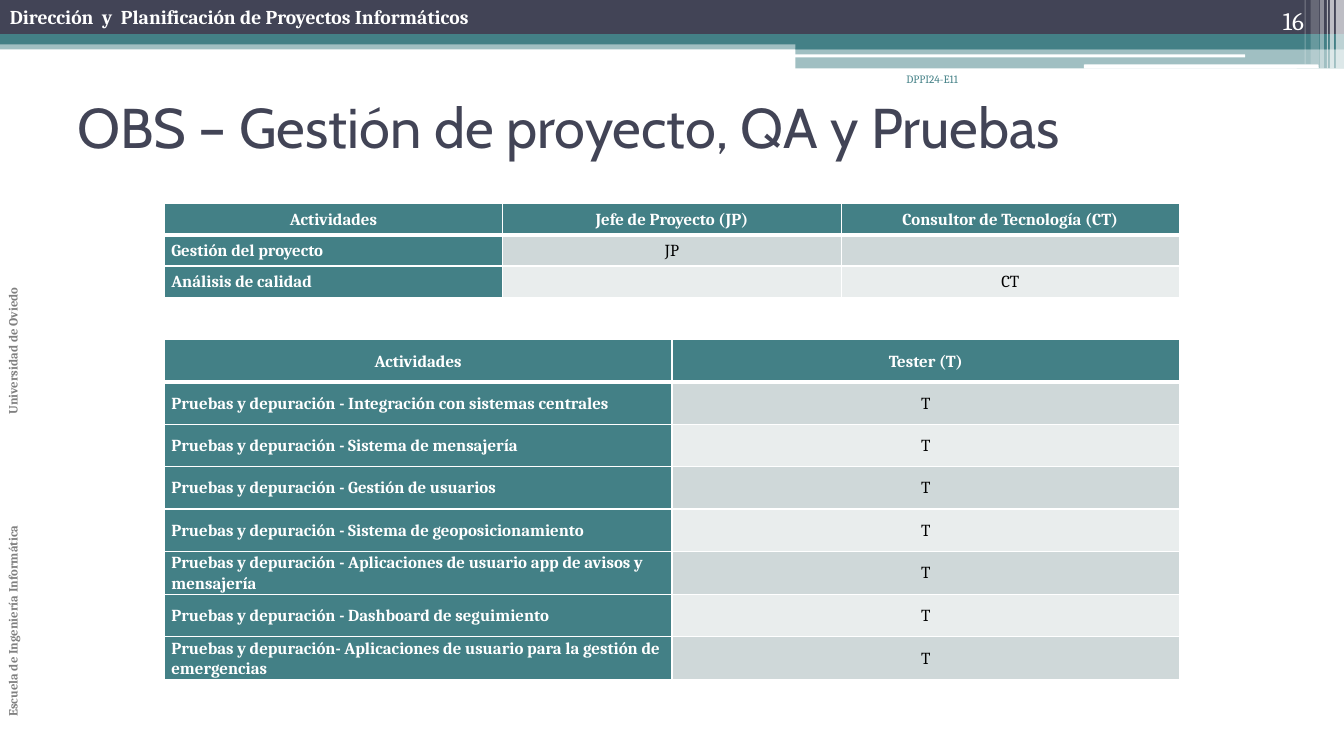
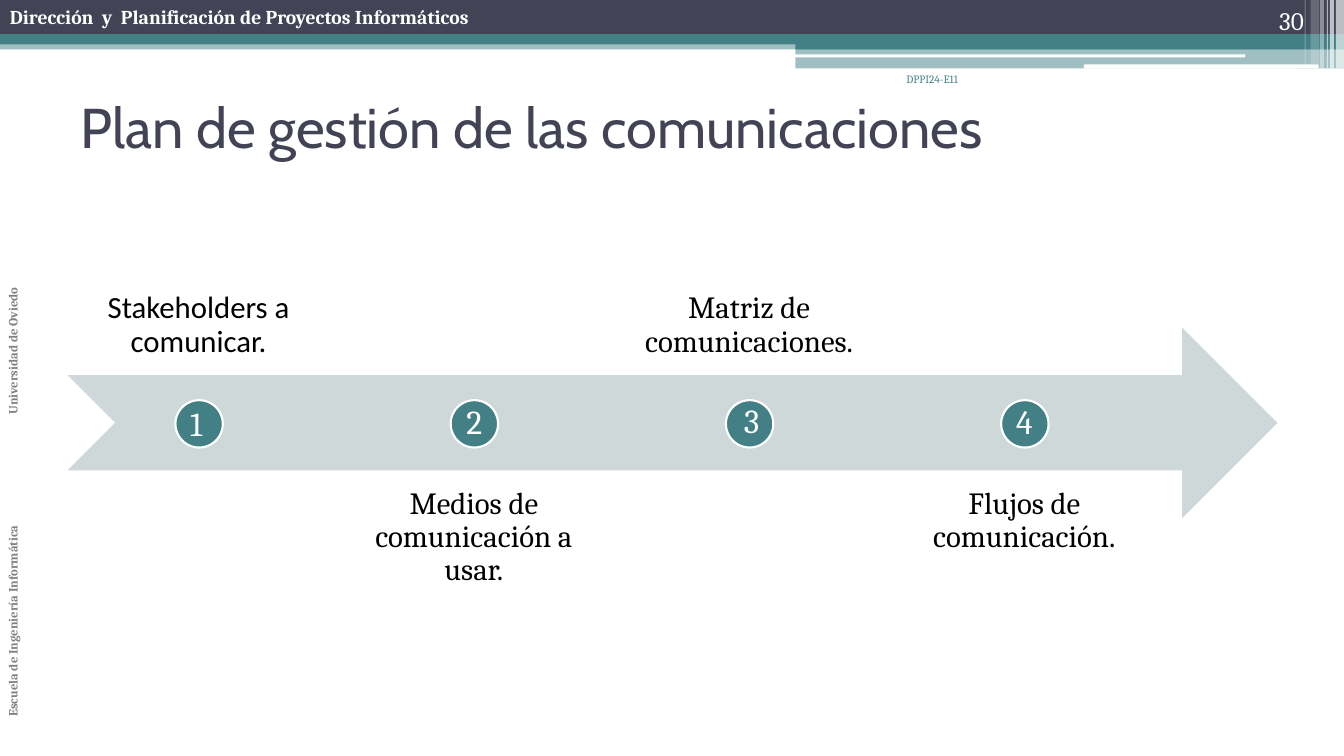
from pptx import Presentation
from pptx.dml.color import RGBColor
from pptx.enum.shapes import MSO_SHAPE as SHAPE
from pptx.enum.text import MSO_ANCHOR as ANCHOR, PP_ALIGN as ALIGN
from pptx.oxml.ns import qn
from pptx.util import Inches, Pt
from lxml.etree import SubElement

NAVY = RGBColor(0x42, 0x44, 0x56)
TEAL = RGBColor(0x43, 0x80, 0x86)
GREY = RGBColor(0x80, 0x80, 0x80)
BAND_DARK = RGBColor(0xCF, 0xD8, 0xD9)
BAND_LIGHT = RGBColor(0xE9, 0xED, 0xED)
WHITE = RGBColor(0xFF, 0xFF, 0xFF)
BLACK = RGBColor(0x00, 0x00, 0x00)


def add_text(s, at, text, size, color, name="Cambria", bold=False,
             align=ALIGN.LEFT, anchor=ANCHOR.TOP, **frame):
    sp = s.shapes.add_textbox(*map(Inches, at))
    tf = sp.text_frame
    for key, value in {"word_wrap": True, "vertical_anchor": anchor, **frame}.items():
        setattr(tf, key, value)
    p = tf.paragraphs[0]
    p.alignment = align
    r = p.add_run()
    r.text = text
    for key, value in {"size": Pt(size), "name": name, "bold": bold}.items():
        setattr(r.font, key, value)
    r.font.color.rgb = color
    return sp


def add_block(s, kind, at, color, alpha=100):
    sp = s.shapes.add_shape(kind, *map(Inches, at))
    sp.shadow.inherit = False
    sp.fill.solid()
    sp.fill.fore_color.rgb = color
    sp.line.fill.background()
    if alpha < 100:
        clr = sp.element.spPr.find(".//" + qn("a:srgbClr"))
        SubElement(clr, qn("a:alpha"), val=str(alpha * 1000))
    return sp


prs = Presentation()
prs.slide_width, prs.slide_height = Inches(13.33), Inches(7.5)
layout = prs.slide_layouts[6]
for ph in list(layout.placeholders):
    ph.element.getparent().remove(ph.element)

s = prs.slides.add_slide(layout)
bands = [
    (SHAPE.RECTANGLE, (0, 0.4, 13.33, 0.09), TEAL, 50),
    (SHAPE.RECTANGLE, (0, 0, 13.33, 0.34), NAVY, 100),
    (SHAPE.RECTANGLE, (0, 0.34, 13.33, 0.1), TEAL, 100),
    (SHAPE.RECTANGLE, (7.89, 0.39, 5.44, 0.1), TEAL, 100),
    (SHAPE.RECTANGLE, (7.89, 0.48, 5.44, 0.2), TEAL, 50),
    (SHAPE.ROUNDED_RECTANGLE, (7.88, 0.54, 4.47, 0.03), WHITE, 100),
    (SHAPE.ROUNDED_RECTANGLE, (10.75, 0.64, 2.33, 0.04), WHITE, 100),
]
stripes = [(13.25, 0.08, 0.68, 65), (13.19, 0.04, 0.68, 65), (13.16, 0.01, 0.68, 60),
           (13.09, 0.04, 0.68, 40), (13, 0.08, 0.64, 20), (12.94, 0.01, 0.64, 30)]
bands += [(SHAPE.RECTANGLE, (x, 0, w, h), WHITE, alpha) for x, w, h, alpha in stripes]
for band in bands:
    add_block(s, *band)
add_text(s, (0, 0, 8.24, 0.34), "Dirección  y  Planificación de Proyectos Informáticos",
         14, WHITE, bold=True)
side = add_text(s, (0, 0.54, 0.35, 6.67),
                "Escuela de Ingeniería Informática\t\t\tUniversidad de Oviedo", 9, GREY, bold=True)
side.text_frame._txBody.bodyPr.set("vert", "vert270")
for sp in list(s.shapes):
    layout.shapes.element.append(sp.element)

slides = [s, prs.slides.add_slide(layout)]
headings = [("16", 0.67, "OBS – Gestión de proyecto, QA y Pruebas"),
            ("30", 0.7, "Plan de gestión de las comunicaciones")]
for s, (number, left, title) in zip(slides, headings):
    add_text(s, (7.67, 0.67, 1.93, 0.5), "DPPI24-E11", 8, TEAL, align=ALIGN.RIGHT)
    add_text(s, (11.92, 0, 1.11, 0.4), number, 18, WHITE, align=ALIGN.RIGHT, anchor=ANCHOR.BOTTOM)
    add_text(s, (left, 0.67, 12, 1.17), title, 40, NAVY, "Cabin", anchor=ANCHOR.MIDDLE)

tests = [
    "Pruebas y depuración - Integración con sistemas centrales",
    "Pruebas y depuración - Sistema de mensajería",
    "Pruebas y depuración - Gestión de usuarios",
    "Pruebas y depuración - Sistema de geoposicionamiento",
    "Pruebas y depuración - Aplicaciones de usuario app de avisos y mensajería",
    "Pruebas y depuración - Dashboard de seguimiento",
    "Pruebas y depuración- Aplicaciones de usuario para la gestión de emergencias",
]
tables = [
    (2.02, 0.31, [("Actividades", "Jefe de Proyecto (JP)", "Consultor de Tecnología (CT)"),
                  ("Gestión del proyecto", "JP", ""),
                  ("Análisis de calidad", "", "CT")]),
    (3.37, 0.42, [("Actividades", "Tester (T)")] + [(test, "T") for test in tests]),
]
cell_format = {"margin_left": Inches(0.07), "margin_right": Inches(0.07), "margin_top": 0,
               "margin_bottom": 0, "vertical_anchor": ANCHOR.MIDDLE}
for top, row_height, rows in tables:
    table = slides[0].shapes.add_table(
        len(rows), len(rows[0]), Inches(1.63), Inches(top),
        Inches(10.07), Inches(row_height * len(rows))).table
    for i, row in enumerate(rows):
        for j, text in enumerate(row):
            cell = table.cell(i, j)
            for key, value in cell_format.items():
                setattr(cell, key, value)
            tcPr = cell._tc.get_or_add_tcPr()
            for edge in ("lnL", "lnR", "lnT", "lnB"):
                thick = (i, edge) in ((0, "lnB"), (1, "lnT"))
                ln = SubElement(tcPr, qn("a:" + edge), w=str(Pt(3 if thick else 1)))
                fill = SubElement(ln, qn("a:solidFill"))
                SubElement(fill, qn("a:srgbClr"), val=str(WHITE))
            head = i == 0 or j == 0
            cell.fill.solid()
            cell.fill.fore_color.rgb = TEAL if head else BAND_DARK if i % 2 else BAND_LIGHT
            p = cell.text_frame.paragraphs[0]
            if not text:
                SubElement(p._p, qn("a:endParaRPr"), sz="1200")
                continue
            p.alignment = ALIGN.LEFT if i and j == 0 else ALIGN.CENTER
            p.line_spacing, p.space_after = 1.07, Pt(8)
            r = p.add_run()
            r.text = text
            for key, value in {"size": Pt(12), "name": "Cambria", "bold": head}.items():
                setattr(r.font, key, value)
            r.font.color.rgb = WHITE if head else BLACK

s = slides[1]
add_block(s, SHAPE.NOTCHED_RIGHT_ARROW, (0.67, 3.25, 12, 1.89), BAND_DARK)
steps = [
    ("Stakeholders a comunicar.", "Calibri", (1.72, 3.95, 0.45, 0.5)),
    ("Medios de comunicación a usar.", "Cambria", (4.48, 3.93, 0.45, 0.5)),
    ("Matriz de comunicaciones.", "Cambria", (7.23, 3.92, 0.45, 0.5)),
    ("Flujos de comunicación.", "Cambria", (9.9, 3.93, 0.52, 0.5)),
]
margins = {"margin_" + side: Inches(0.17) for side in ("left", "top", "right", "bottom")}
for i, (label, font, number_at) in enumerate(steps):
    x = 2.73 * i
    top, anchor = (4.67, ANCHOR.TOP) if i % 2 else (1.84, ANCHOR.BOTTOM)
    sp = add_text(s, (0.67 + x, top, 2.6, 1.89), label, 22, BLACK, font,
                  align=ALIGN.CENTER, anchor=anchor, **margins)
    sp.text_frame.paragraphs[0].line_spacing = 0.9
    dot = add_block(s, SHAPE.OVAL, (1.74 + x, 3.97, 0.47, 0.47), TEAL)
    dot.line.color.rgb = WHITE
    dot.line.width = Pt(1.5)
    add_text(s, number_at, str(i + 1), 24, WHITE, align=ALIGN.CENTER, anchor=ANCHOR.MIDDLE)

prs.save("out.pptx")
